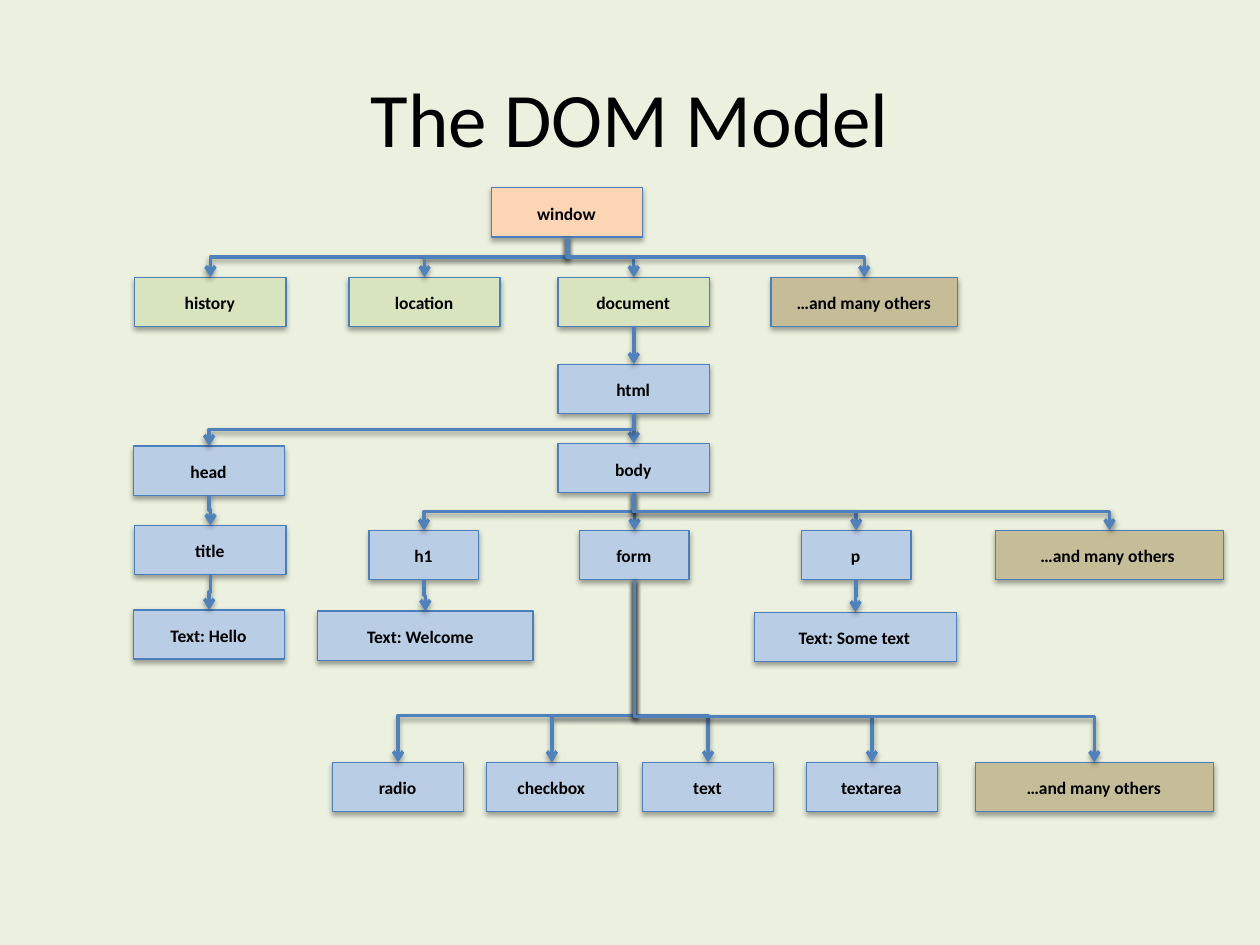
"""Build a slide showing the DOM model as a tree of boxes and elbow arrows."""
from lxml.etree import SubElement
from pptx import Presentation
from pptx.dml.color import RGBColor
from pptx.enum.shapes import MSO_CONNECTOR, MSO_SHAPE
from pptx.enum.text import MSO_ANCHOR, MSO_AUTO_SIZE, PP_ALIGN
from pptx.oxml.ns import qn
from pptx.util import Inches, Pt

BACKGROUND = RGBColor(0xEB, 0xF1, 0xDE)
BLACK = RGBColor(0x00, 0x00, 0x00)
ORANGE = RGBColor(0xFC, 0xD5, 0xB5)
GREEN = RGBColor(0xD7, 0xE4, 0xBD)
TAN = RGBColor(0xC4, 0xBD, 0x97)
BLUE = RGBColor(0xB9, 0xCD, 0xE5)
BORDER = RGBColor(0x4B, 0x7E, 0xBC)
ARROW = RGBColor(0x4F, 0x81, 0xBD)
FONT = "Calibri"
BOX_HEIGHT = 0.39
OTHERS = "…and many others"

LABEL_INSET_AND_WIDTH = {
    0.87: (0.11, 0.64), 1.04: (0.13, 0.77), 1.2: (0.15, 0.89), 1.48: (0.09, 1.29),
    1.6: (0.11, 1.36), 1.71: (0.12, 1.39), 1.81: (0.14, 1.5), 1.89: (0.12, 1.64),
}

NODES = [
    ("window", "window", 3.9, 1.49, 1.2, ORANGE),
    ("history", "history", 1.07, 2.2, 1.2, GREEN),
    ("location", "location", 2.77, 2.2, 1.2, GREEN),
    ("document", "document", 4.43, 2.2, 1.2, GREEN),
    ("window others", OTHERS, 6.12, 2.2, 1.48, TAN),
    ("html", "html", 4.43, 2.89, 1.2, BLUE),
    ("head", "head", 1.06, 3.54, 1.2, BLUE),
    ("body", "body", 4.43, 3.52, 1.2, BLUE),
    ("title", "title", 1.07, 4.17, 1.2, BLUE),
    ("title text", "Text: Hello", 1.06, 4.84, 1.2, BLUE),
    ("h1", "h1", 2.93, 4.21, 0.87, BLUE),
    ("p", "p", 6.36, 4.21, 0.87, BLUE),
    ("h1 text", "Text: Welcome", 2.52, 4.85, 1.71, BLUE),
    ("p text", "Text: Some text", 5.99, 4.86, 1.6, BLUE),
    ("form", "form", 4.6, 4.21, 0.87, BLUE),
    ("radio", "radio", 2.64, 6.05, 1.04, BLUE),
    ("checkbox", "checkbox", 3.86, 6.05, 1.04, BLUE),
    ("text", "text", 5.1, 6.05, 1.04, BLUE),
    ("textarea", "textarea", 6.4, 6.05, 1.04, BLUE),
    ("form others", OTHERS, 7.74, 6.05, 1.89, TAN),
    ("body others", OTHERS, 7.9, 4.21, 1.81, TAN),
]

BRANCHES = [
    ("window", ["history", "location", "document", "window others"], 50000),
    ("document", ["html"], 50000),
    ("html", ["body", "head"], 50000),
    ("head", ["title"], 50000),
    ("title", ["title text"], 50000),
    ("body", ["form", "h1", "p", "body others"], 50000),
    ("h1", ["h1 text"], 50000),
    ("form", ["radio", "checkbox", "text"], 74400),
    ("form", ["textarea", "form others"], 74900),
    ("p", ["p text"], 50000),
]


def add_rectangle(group, left, top, width, height, fill):
    shape = group.shapes.add_shape(
        MSO_SHAPE.RECTANGLE, Inches(left), Inches(top), Inches(width), Inches(height)
    )
    shape.shadow.inherit = False
    shape.fill.solid()
    shape.fill.fore_color.rgb = fill
    return shape


def add_shadow(effects, distance, opacity):
    shadow = SubElement(
        effects, qn("a:outerShdw"), blurRad=str(Pt(3.1)), dist=str(Pt(distance)),
        dir="5400000", rotWithShape="0",
    )
    color = SubElement(shadow, qn("a:srgbClr"), val="000000")
    SubElement(color, qn("a:alpha"), val=str(opacity * 1000))


presentation = Presentation()
presentation.slide_width = Inches(10)
presentation.slide_height = Inches(7.5)
slide = presentation.slides.add_slide(presentation.slide_layouts[5])
slide.background.fill.solid()
slide.background.fill.fore_color.rgb = BACKGROUND

title = slide.shapes.title
title.left, title.top = Inches(0.5), Inches(0.3)
title.width, title.height = Inches(9), Inches(1.25)
title.text_frame.vertical_anchor = MSO_ANCHOR.MIDDLE
paragraph = title.text_frame.paragraphs[0]
paragraph.alignment = PP_ALIGN.CENTER
run = paragraph.add_run()
run.text = "The DOM Model"
run.font.name = FONT
run.font.size = Pt(44)
run.font.color.rgb = BLACK

boxes = {}
for key, text, left, top, width, fill in NODES:
    group = slide.shapes.add_group_shape()
    box = add_rectangle(group, left, top, width, BOX_HEIGHT, fill)
    box.line.color.rgb = BORDER
    box.line.width = Pt(0.75)
    add_shadow(box._element.spPr.find(qn("a:effectLst")), 1.8, 35)
    boxes[key] = box

    inset, label_width = LABEL_INSET_AND_WIDTH[width]
    label = add_rectangle(group, left + inset, top + 0.07, label_width, 0.27, fill)
    label.line.fill.background()
    frame = label.text_frame
    frame.word_wrap = True
    frame.auto_size = MSO_AUTO_SIZE.SHAPE_TO_FIT_TEXT
    frame.vertical_anchor = MSO_ANCHOR.TOP
    paragraph = frame.paragraphs[0]
    paragraph.alignment = PP_ALIGN.CENTER
    run = paragraph.add_run()
    run.text = text
    run.font.name = FONT
    run.font.size = Pt(10)
    run.font.bold = True
    run.font.color.rgb = BLACK

for parent_key, child_keys, bend in BRANCHES:
    parent = boxes[parent_key]
    for child_key in child_keys:
        child = boxes[child_key]
        connector = slide.shapes.add_connector(MSO_CONNECTOR.ELBOW, 0, 0, 0, 0)
        connector.begin_connect(parent, 2)
        connector.end_connect(child, 0)
        start_x, start_y = connector.begin_x, connector.begin_y
        end_x, end_y = connector.end_x, connector.end_y
        drop, spread = end_y - start_y, abs(end_x - start_x)
        connector.left = (start_x + end_x - drop) // 2
        connector.top = (start_y + end_y - spread) // 2
        connector.width, connector.height = drop, spread

        properties = connector._element.spPr
        transform = properties.find(qn("a:xfrm"))
        goes_right = end_x > start_x
        transform.set("rot", "16200000" if goes_right else "5400000")
        transform.set("flipH", "1" if goes_right else "0")
        transform.set("flipV", "0")
        adjustments = properties.find(qn("a:prstGeom")).find(qn("a:avLst"))
        SubElement(adjustments, qn("a:gd"), name="adj1", fmla=f"val {bend}")

        connector.line.color.rgb = ARROW
        connector.line.width = Pt(2)
        SubElement(properties.find(qn("a:ln")), qn("a:tailEnd"), type="arrow")
        add_shadow(SubElement(properties, qn("a:effectLst")), 1.6, 38)

presentation.save("out.pptx")
